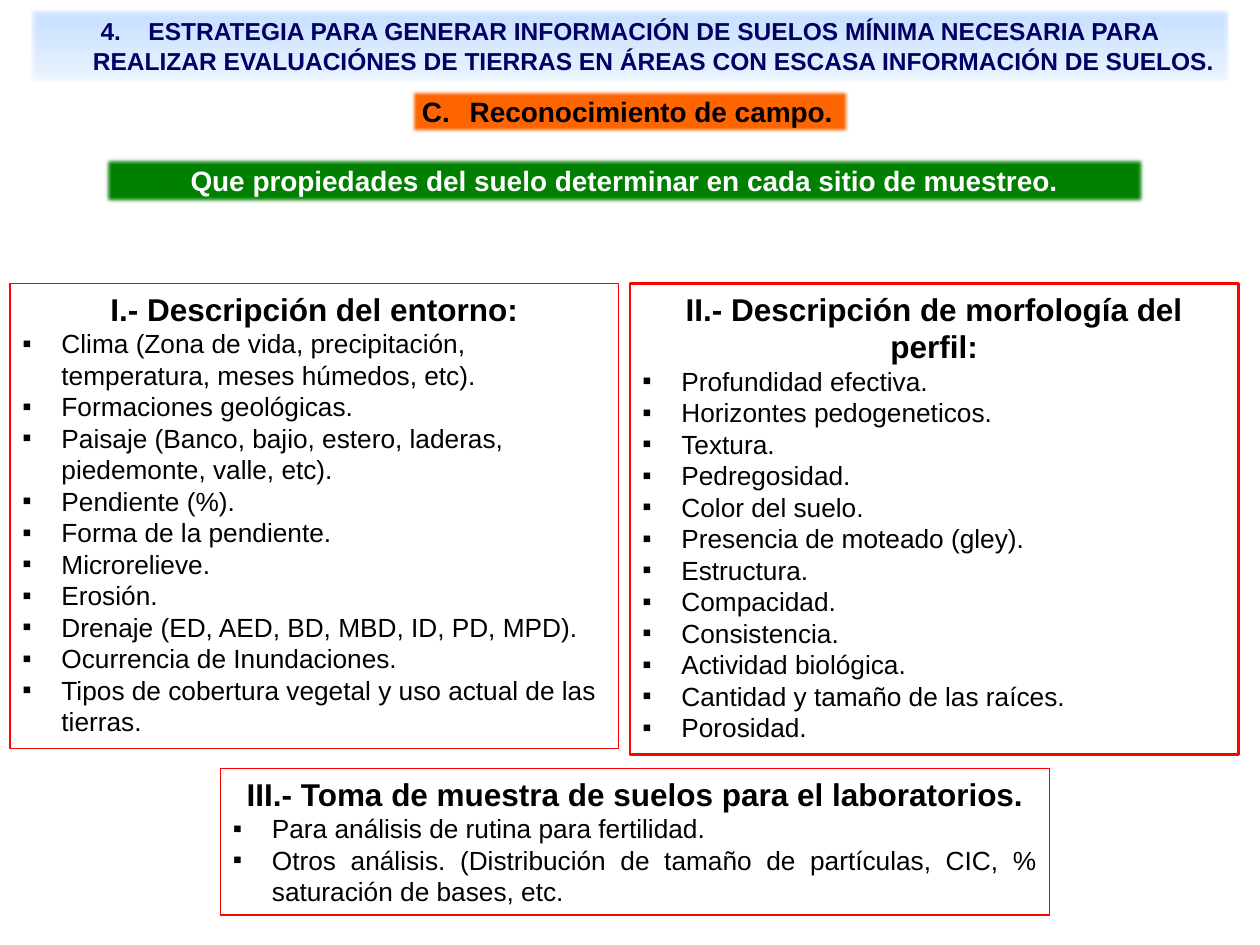
from lxml import etree
from pptx import Presentation
from pptx.dml.color import RGBColor
from pptx.enum import shapes, text
from pptx.oxml import ns
from pptx.util import Inches, Pt

NAVY = RGBColor(0x00, 0x00, 0x66)
SKY = RGBColor(0xC4, 0xDF, 0xFF)
PALE_SKY = RGBColor(0xEC, 0xF4, 0xFF)
ORANGE = RGBColor(0xFF, 0x66, 0x00)
GREEN = RGBColor(0x00, 0x80, 0x00)
RED = RGBColor(0xFF, 0x00, 0x00)
BLACK = RGBColor(0x00, 0x00, 0x00)
WHITE = RGBColor(0xFF, 0xFF, 0xFF)

LEFT = text.PP_ALIGN.LEFT
CENTER = text.PP_ALIGN.CENTER
JUSTIFY = text.PP_ALIGN.JUSTIFY

TITLE = (
    "ESTRATEGIA PARA GENERAR INFORMACIÓN DE SUELOS MÍNIMA NECESARIA PARA "
    "REALIZAR EVALUACIÓNES DE TIERRAS EN ÁREAS CON ESCASA INFORMACIÓN DE SUELOS."
)
ENVIRONMENT = [
    "Clima (Zona de vida, precipitación, temperatura, meses húmedos, etc).",
    "Formaciones geológicas.",
    "Paisaje (Banco, bajio, estero, laderas, piedemonte, valle, etc).",
    "Pendiente (%).",
    "Forma de la pendiente.",
    "Microrelieve.",
    "Erosión.",
    "Drenaje (ED, AED, BD, MBD, ID, PD, MPD).",
    "Ocurrencia de Inundaciones.",
    "Tipos de cobertura vegetal y uso actual de las tierras.",
]
PROFILE = [
    "Profundidad efectiva.",
    "Horizontes pedogeneticos.",
    "Textura.",
    "Pedregosidad.",
    "Color del suelo.",
    "Presencia de moteado (gley).",
    "Estructura.",
    "Compacidad.",
    "Consistencia.",
    "Actividad biológica.",
    "Cantidad y tamaño de las raíces.",
    "Porosidad.",
]
SAMPLING = [
    "Para análisis de rutina para fertilidad.",
    "Otros análisis. (Distribución de tamaño de partículas, CIC, % saturación de bases, etc.",
]


def place(shape, left, top, width, height):
    shape.left, shape.top = Inches(left), Inches(top)
    shape.width, shape.height = Inches(width), Inches(height)


def add_marker(paragraph, indent, tag, **attributes):
    properties = paragraph._p.get_or_add_pPr()
    properties.set("marL", str(Inches(indent)))
    properties.set("indent", str(-Inches(indent)))
    if tag == "a:buChar":
        etree.SubElement(properties, ns.qn("a:buFont"), typeface="Arial")
    etree.SubElement(properties, ns.qn(tag), **attributes)


def format_paragraph(paragraph, size, color, bold, alignment):
    paragraph.alignment = alignment
    font = paragraph.font
    font.name, font.size, font.bold = "Arial", Pt(size), bold
    font.color.rgb = color


def soften_edges(shape):
    shape.shadow.inherit = False
    effects = shape.element.spPr.find(ns.qn("a:effectLst"))
    etree.SubElement(effects, ns.qn("a:softEdge"), rad=str(Pt(2.5)))


def add_rectangle(slide, bounds):
    shape = slide.shapes.add_shape(
        shapes.MSO_SHAPE.RECTANGLE, *[Inches(length) for length in bounds]
    )
    shape.shadow.inherit = False
    shape.text_frame.word_wrap = True
    shape.text_frame.vertical_anchor = text.MSO_ANCHOR.TOP
    return shape


def set_title(slide):
    title = slide.shapes.title
    place(title, 0.25, 0.08, 9.5, 0.57)
    title.fill.gradient()
    title.fill.gradient_angle = 270
    for stop, color in zip(title.fill.gradient_stops, (SKY, PALE_SKY)):
        stop.color.rgb = color
    soften_edges(title)
    frame = title.text_frame
    frame.text = TITLE
    frame.auto_size = text.MSO_AUTO_SIZE.NONE
    frame.vertical_anchor = text.MSO_ANCHOR.TOP
    paragraph = frame.paragraphs[0]
    add_marker(paragraph, 0.38, "a:buAutoNum", type="arabicPeriod", startAt="4")
    format_paragraph(paragraph, 14, NAVY, True, CENTER)


def add_banner(slide, bounds, caption, fill, color, alignment):
    banner = add_rectangle(slide, bounds)
    banner.fill.solid()
    banner.fill.fore_color.rgb = fill
    banner.line.fill.background()
    soften_edges(banner)
    banner.text_frame.text = caption
    paragraph = banner.text_frame.paragraphs[0]
    if alignment == LEFT:
        banner.text_frame.word_wrap = False
        add_marker(paragraph, 0.38, "a:buAutoNum", type="alphaUcPeriod", startAt="3")
    format_paragraph(paragraph, 16, color, True, alignment)


def add_panel(slide, bounds, heading, items, alignment=JUSTIFY, line_width=1):
    panel = add_rectangle(slide, bounds)
    panel.fill.background()
    panel.line.color.rgb = RED
    panel.line.width = Pt(line_width)
    frame = panel.text_frame
    frame.text = heading
    format_paragraph(frame.paragraphs[0], 18, BLACK, True, CENTER)
    for item in items:
        paragraph = frame.add_paragraph()
        paragraph.text = item
        add_marker(paragraph, 0.31, "a:buChar", char="▪")
        format_paragraph(paragraph, 15, BLACK, False, alignment)


def main():
    presentation = Presentation()
    presentation.slide_width, presentation.slide_height = Inches(10), Inches(7.5)
    slide = presentation.slides.add_slide(presentation.slide_layouts[5])
    set_title(slide)
    add_banner(slide, (3.25, 0.7, 3.5, 0.37), "Reconocimiento de campo.",
               ORANGE, BLACK, LEFT)
    add_banner(slide, (0.83, 1.25, 8.25, 0.37),
               "Que propiedades del suelo determinar en cada sitio de muestreo.",
               GREEN, WHITE, CENTER)
    add_panel(slide, (0.08, 2.25, 4.83, 3.69), "I.- Descripción del entorno:",
              ENVIRONMENT, alignment=LEFT)
    add_panel(slide, (5, 2.25, 4.83, 3.74),
              "II.- Descripción de morfología del perfil:", PROFILE, line_width=1.5)
    add_panel(slide, (1.75, 6.1, 6.58, 1.16),
              "III.- Toma de muestra de suelos para el laboratorios.", SAMPLING)
    presentation.save("out.pptx")


if __name__ == "__main__":
    main()
